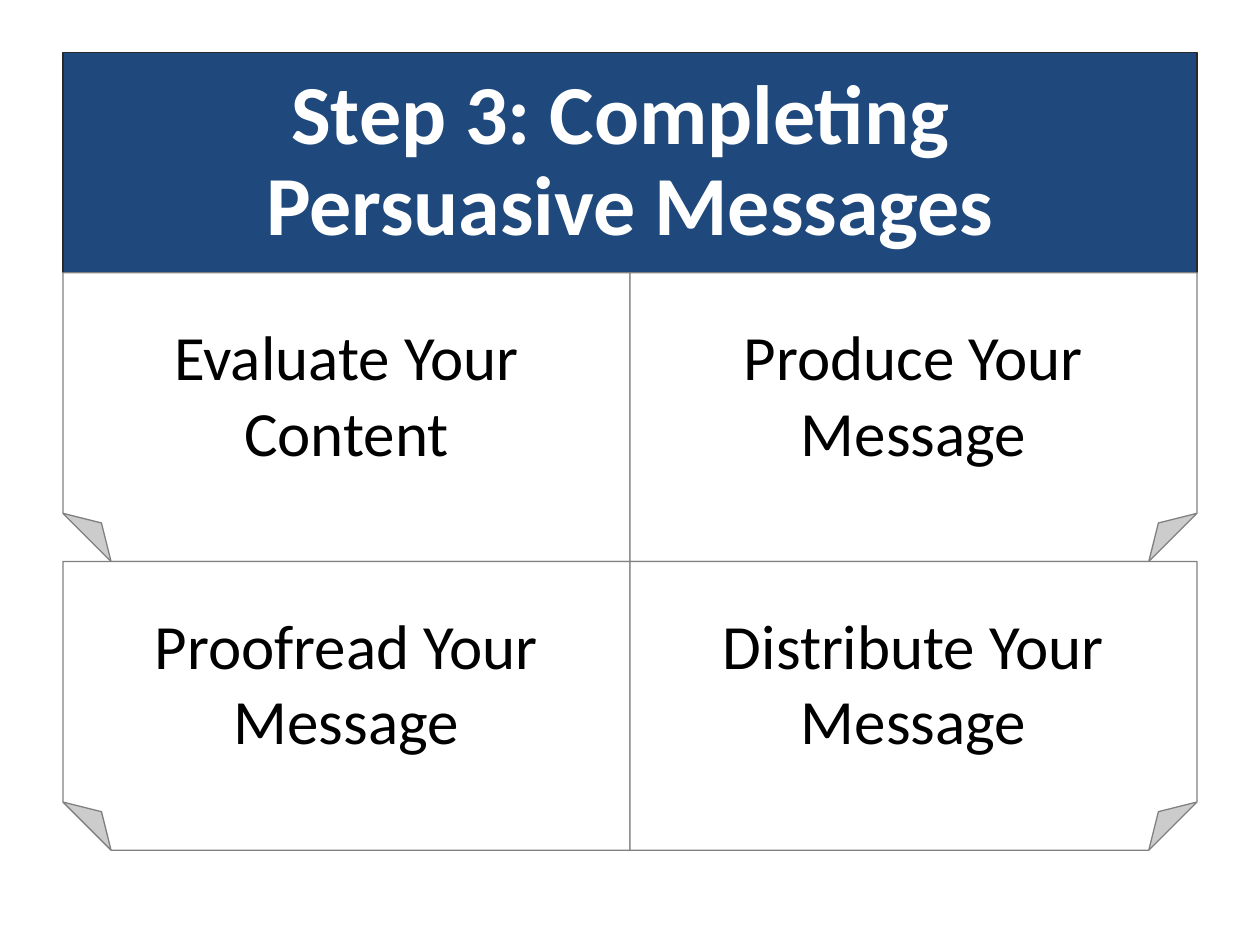
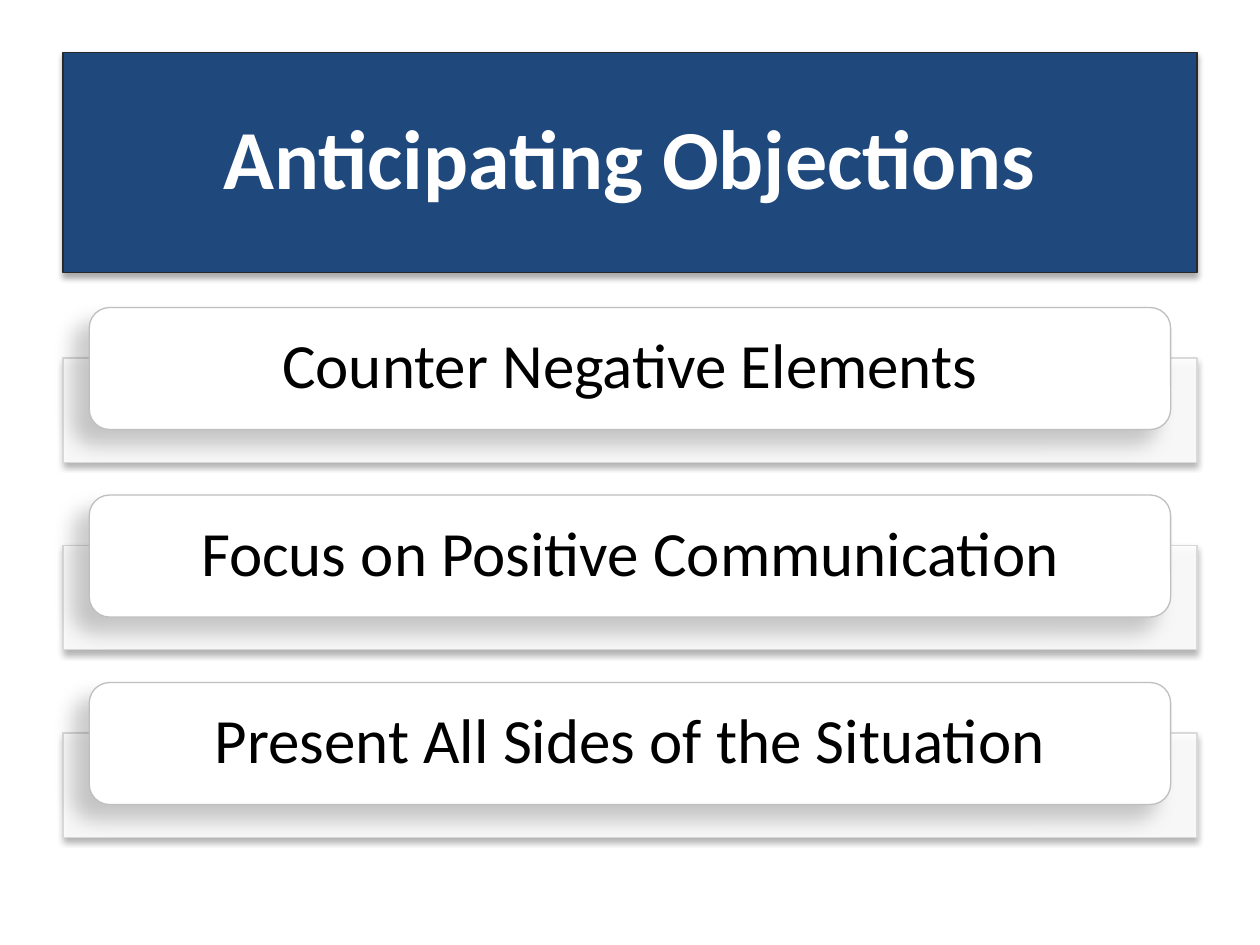
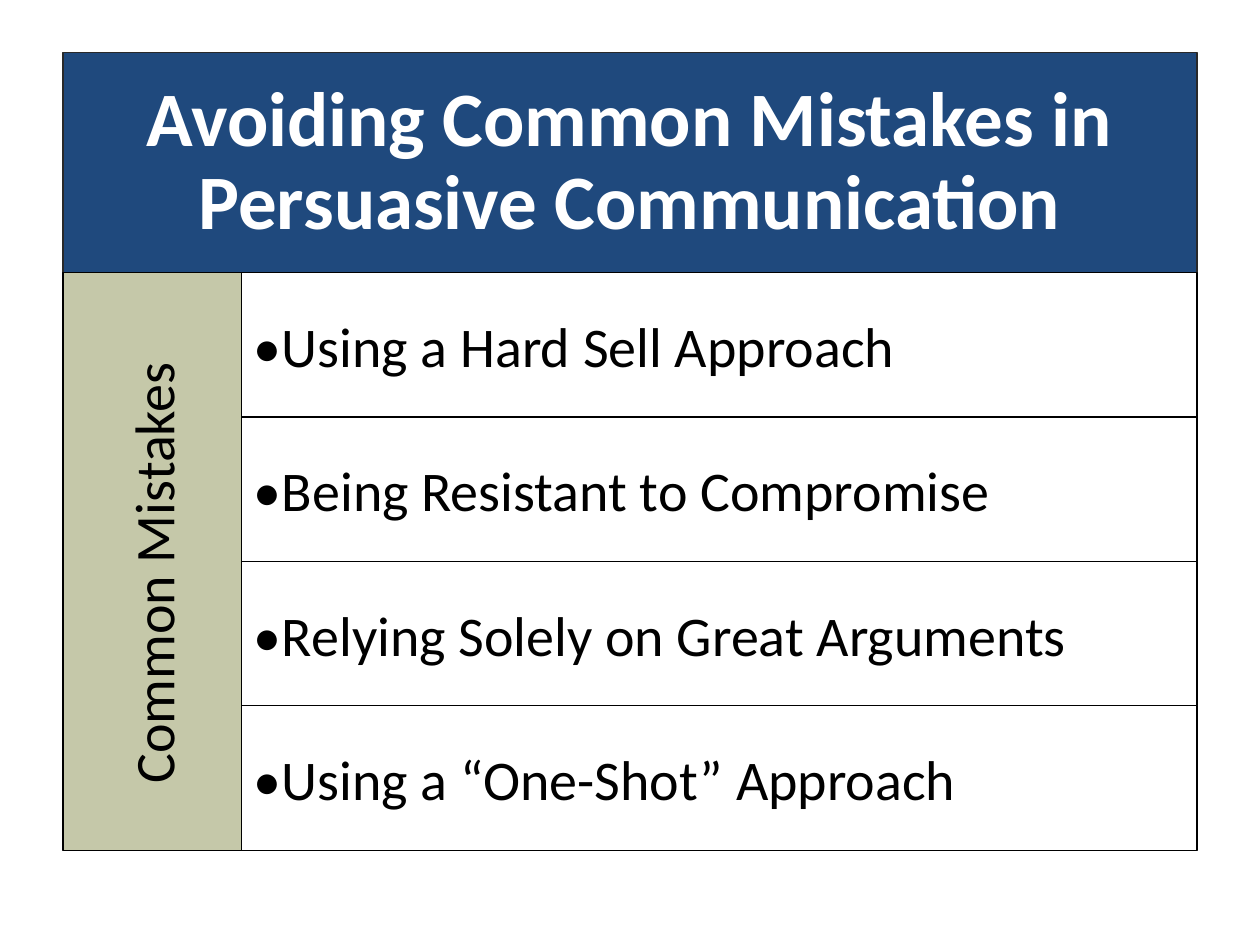
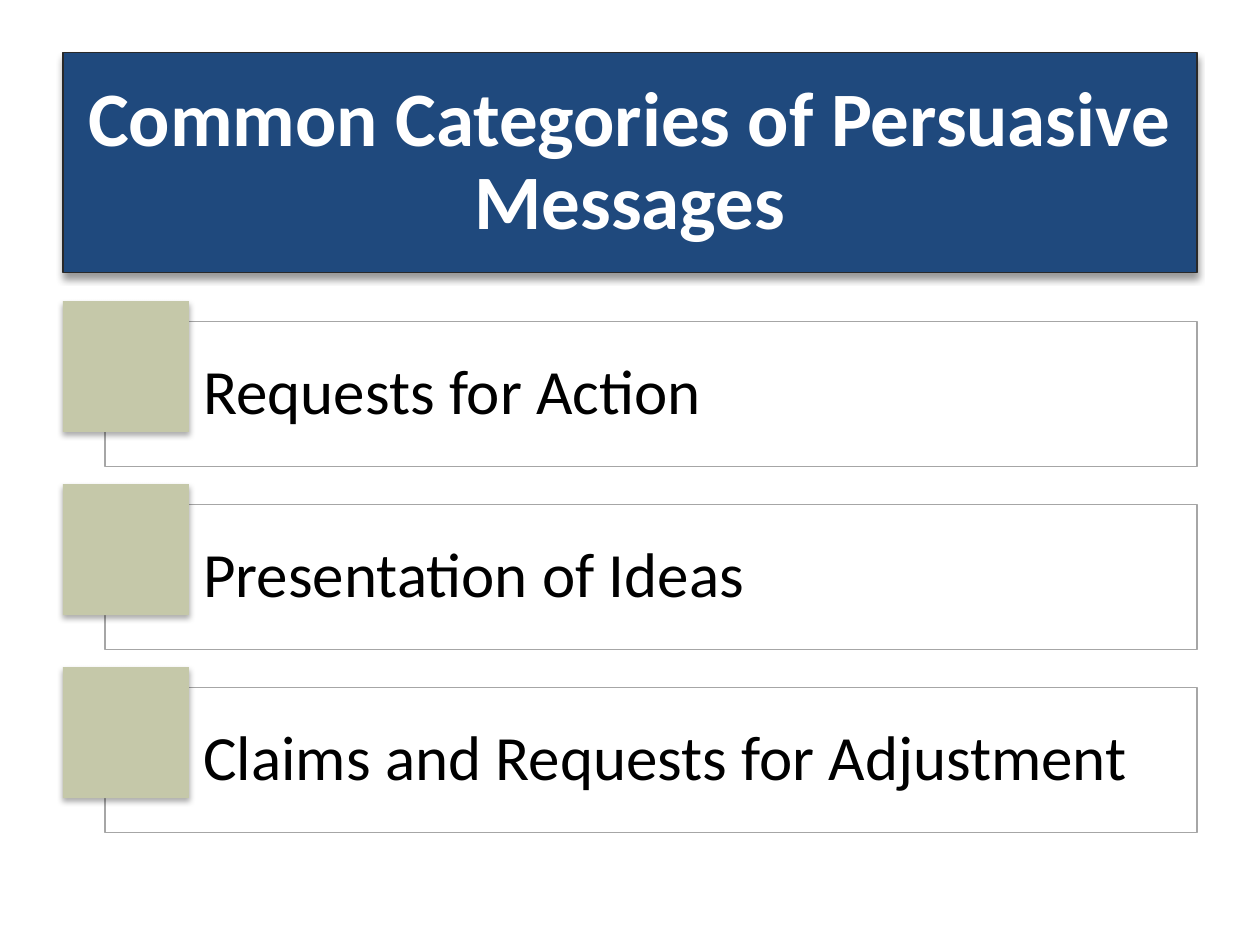
import pptx
import pptx.dml.color
import pptx.enum.shapes
import pptx.enum.text
import pptx.oxml
import pptx.oxml.ns
import pptx.util
from lxml import etree

Cm = pptx.util.Cm
Pt = pptx.util.Pt
Shape = pptx.enum.shapes.MSO_SHAPE
Align = pptx.enum.text.PP_ALIGN
Anchor = pptx.enum.text.MSO_ANCHOR
qn = pptx.oxml.ns.qn

NAVY, SAGE, WHITE, BLACK = "1F497D", "C5C8A9", "FFFFFF", "000000"
FONT = "Calibri"
LEFT, WIDTH = 1.27, 22.86
TITLE_TOP, TITLE_HEIGHT = 1.06, 4.44
BODY_TOP, BODY_HEIGHT = 5.5, 11.64
SOFT_SHADOW = (32, 3.5, 2.2, 90)
TITLE_SHADOW = (40, 4, 3, 90)
CARD_SHADOW = (20, 11.8, 12, 141)


def paint(shape, fill, line=None, opacity=100, shadow=None):
    shape.fill.solid()
    shape.fill.fore_color.rgb = pptx.dml.color.RGBColor.from_string(fill)
    properties = shape._element.spPr
    if opacity < 100:
        color = properties.find(qn("a:solidFill")).find(qn("a:srgbClr"))
        etree.SubElement(color, qn("a:alpha"), val=str(opacity * 1000))
    if line:
        shape.line.color.rgb = pptx.dml.color.RGBColor.from_string(line)
        shape.line.width = Pt(0.75)
    else:
        shape.line.fill.background()
    shape.shadow.inherit = False
    if shadow:
        alpha, blur, distance, angle = shadow
        outer = etree.SubElement(
            properties.find(qn("a:effectLst")), qn("a:outerShdw"),
            blurRad=str(Pt(blur)), dist=str(Pt(distance)),
            dir=str(angle * 60000), algn="ctr", rotWithShape="0")
        color = etree.SubElement(outer, qn("a:srgbClr"), val=BLACK)
        etree.SubElement(color, qn("a:alpha"), val=str(alpha * 1000))


def write(box, text, size, align=Align.CENTER, color=BLACK, spacing=1.0,
          bold=False):
    frame = box.text_frame
    frame.text = text
    frame.word_wrap = True
    frame.auto_size = pptx.enum.text.MSO_AUTO_SIZE.NONE
    frame.vertical_anchor = Anchor.MIDDLE
    para = frame.paragraphs[0]
    para.alignment = align
    para.line_spacing = spacing
    para.font.name = FONT
    para.font.size = Pt(size)
    para.font.bold = bold
    para.font.color.rgb = pptx.dml.color.RGBColor.from_string(color)


deck = pptx.Presentation()
deck.slide_width = Cm(25.4)
deck.slide_height = Cm(19.05)

titles = [
    ("Step 3: Completing \vPersuasive Messages", 48, None),
    ("Anticipating Objections", 48, SOFT_SHADOW),
    ("Avoiding Common Mistakes in Persuasive Communication", 44, None),
    ("Common Categories of Persuasive Messages", 44, TITLE_SHADOW),
]
pages = []
for text, size, shadow in titles:
    page = deck.slides.add_slide(deck.slide_layouts[5])
    title = page.shapes.title
    title.left, title.top = Cm(LEFT), Cm(TITLE_TOP)
    title.width, title.height = Cm(WIDTH), Cm(TITLE_HEIGHT)
    paint(title, NAVY, "292929", shadow=shadow)
    write(title, text, size, color=WHITE, spacing=0.9, bold=True)
    pages.append(page)
steps_page, objections_page, mistakes_page, categories_page = pages

steps = [
    ["Evaluate Your Content", "Produce Your Message"],
    ["Proofread Your Message", "Distribute Your Message"],
]
note_width, note_height = WIDTH / 2, BODY_HEIGHT / 2
for row, names in enumerate(steps):
    for column, name in enumerate(names):
        note = steps_page.shapes.add_shape(
            Shape.FOLDED_CORNER,
            Cm(LEFT + column * note_width), Cm(BODY_TOP + row * note_height),
            Cm(note_width), Cm(note_height))
        if column == 0:
            note._element.spPr.get_or_add_xfrm().set("flipH", "1")
        paint(note, WHITE, "808080")
        write(note, name, 36)

objections = [
    "Counter Negative Elements",
    "Focus on Positive Communication",
    "Present All Sides of the Situation",
]
for index, objection in enumerate(objections):
    offset = index * 3.78
    strip = objections_page.shapes.add_shape(
        Shape.RECTANGLE, Cm(LEFT), Cm(7.22 + offset), Cm(WIDTH), Cm(2.1))
    paint(strip, WHITE, "D9D9D9", opacity=90, shadow=SOFT_SHADOW)
    card = objections_page.shapes.add_shape(
        Shape.ROUNDED_RECTANGLE, Cm(1.8), Cm(6.2 + offset), Cm(21.8), Cm(2.46))
    paint(card, WHITE, "BFBFBF", shadow=CARD_SHADOW)
    write(card, objection, 36, spacing=0.9)

band_width = 3.6
band = mistakes_page.shapes.add_shape(
    Shape.RECTANGLE, Cm(LEFT), Cm(BODY_TOP), Cm(band_width), Cm(BODY_HEIGHT))
paint(band, SAGE, BLACK)
label = mistakes_page.shapes.add_textbox(
    Cm(-1.65), Cm(10.51), Cm(9.45), Cm(1.63))
label.rotation = 270
paint(label, SAGE)
write(label, "Common Mistakes", 32, Align.LEFT)
label.text_frame.word_wrap = False
label.text_frame.vertical_anchor = Anchor.TOP

mistakes = [
    "•Using a Hard Sell Approach",
    "•Being Resistant to Compromise",
    "•Relying Solely on Great Arguments",
    "•Using a “One-Shot” Approach",
]
mistake_height = BODY_HEIGHT / len(mistakes)
for index, mistake in enumerate(mistakes):
    box = mistakes_page.shapes.add_shape(
        Shape.RECTANGLE,
        Cm(LEFT + band_width), Cm(BODY_TOP + index * mistake_height),
        Cm(WIDTH - band_width), Cm(mistake_height))
    paint(box, WHITE, BLACK)
    write(box, mistake, 32, Align.LEFT)

categories = [
    "Requests for Action",
    "Presentation of Ideas",
    "Claims and Requests for Adjustment",
]
for index, category in enumerate(categories):
    offset = index * 3.69
    panel = categories_page.shapes.add_shape(
        Shape.RECTANGLE, Cm(2.12), Cm(6.48 + offset), Cm(22.01), Cm(2.93))
    paint(panel, WHITE, "A6A6A6", opacity=40)
    write(panel, category, 36, Align.LEFT, spacing=0.9)
    panel.text_frame.margin_left = Cm(1.98)
    panel.text_frame.margin_right = Cm(0.53)
    panel.text_frame.margin_top = Cm(0.53)
    panel.text_frame.margin_bottom = Cm(0.53)
    marker = categories_page.shapes.add_shape(
        Shape.RECTANGLE, Cm(LEFT), Cm(6.07 + offset), Cm(2.54), Cm(2.64))
    paint(marker, SAGE, shadow=SOFT_SHADOW)

deck.save("out.pptx")
